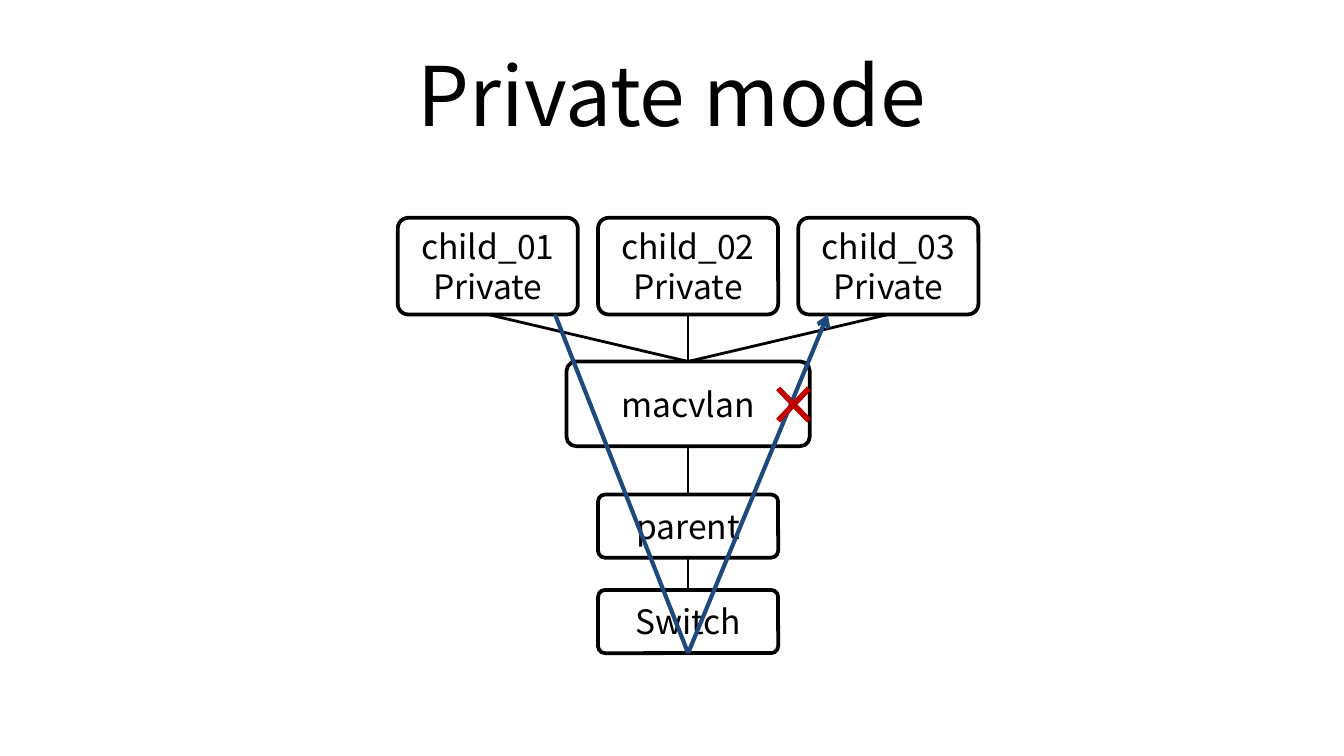
from lxml import etree
from pptx import Presentation
from pptx.dml.color import RGBColor
from pptx.enum.shapes import MSO_CONNECTOR, MSO_SHAPE
from pptx.enum.text import MSO_ANCHOR, PP_ALIGN
from pptx.oxml.ns import qn
from pptx.util import Inches, Pt

STRAIGHT = MSO_CONNECTOR.STRAIGHT
ROUNDED = MSO_SHAPE.ROUNDED_RECTANGLE
MIDDLE = MSO_ANCHOR.MIDDLE
CENTER = PP_ALIGN.CENTER

FONT = "Noto Sans CJK KR"
COLORS = {"ink": "000000", "paper": "FFFFFF", "path": "1F497D", "block": "C00000"}

TITLE = "Private mode"
CHILDREN = ["child_01\nPrivate", "child_02\nPrivate", "child_03\nPrivate"]
STACK = [
    ("macvlan", 2.69, 1.81, 0.63),
    ("parent", 3.68, 1.34, 0.47),
    ("Switch", 4.39, 1.34, 0.47),
]
SLIDE_W = 10
SLIDE_H = SLIDE_W * 9 / 16
AXIS = 5.12
CHILD_TOP, CHILD_W, CHILD_H, CHILD_STEP = 1.62, 1.34, 0.72, 1.49
PATH_START, PATH_END = 4.13, 6.16
CROSS_LEFT, CROSS_TOP, CROSS_RIGHT, CROSS_BOTTOM = 5.79, 2.89, 6.02, 3.13


def rgb(name):
    return RGBColor.from_string(COLORS[name])


def write(s, text, size=18, color="ink"):
    tf = s.text_frame
    tf.word_wrap = True
    tf.vertical_anchor = MIDDLE
    for i, line in enumerate(text.split("\n")):
        p = tf.add_paragraph() if i else tf.paragraphs[0]
        p.alignment = CENTER
        r = p.add_run()
        r.text = line
        r.font.name = FONT
        r.font.size = Pt(size)
        r.font.color.rgb = rgb(color)


def add_box(text, center, top, width, height):
    s = slide.shapes.add_shape(
        ROUNDED, Inches(center - width / 2), Inches(top), Inches(width), Inches(height)
    )
    s.adjustments[0] = 0.11
    s.shadow.inherit = False
    s.fill.solid()
    s.fill.fore_color.rgb = rgb("paper")
    s.line.color.rgb = rgb("ink")
    s.line.width = Pt(2)
    write(s, text)


def add_line(start, end, color="ink", width=1.5, arrow=False):
    s = slide.shapes.add_connector(STRAIGHT, *map(Inches, start + end))
    s.line.color.rgb = rgb(color)
    s.line.width = Pt(width)
    spPr = s._element.spPr
    if arrow:
        etree.SubElement(spPr.find(qn("a:ln")), qn("a:tailEnd"), type="arrow")
    etree.SubElement(spPr, qn("a:effectLst"))


prs = Presentation()
prs.slide_width, prs.slide_height = Inches(SLIDE_W), Inches(SLIDE_H)
slide = prs.slides.add_slide(prs.slide_layouts[6])

title = slide.shapes.add_textbox(Inches(0.5), Inches(0.23), Inches(9), Inches(0.94))
write(title, TITLE, size=44)

for text, top, width, height in STACK:
    add_box(text, AXIS, top, width, height)

child_bottom = CHILD_TOP + CHILD_H
for i, text in enumerate(CHILDREN):
    center = AXIS + (i - 1) * CHILD_STEP
    add_box(text, center, CHILD_TOP, CHILD_W, CHILD_H)
    add_line((center, child_bottom), (AXIS, STACK[0][1]))

for (_, top, _, height), lower in zip(STACK, STACK[1:]):
    add_line((AXIS, top + height), (AXIS, lower[1]))

turn = (AXIS, STACK[-1][1] + STACK[-1][3])
add_line((PATH_START, child_bottom), turn, color="path", width=2.25)
add_line(turn, (PATH_END, child_bottom), color="path", width=2.25, arrow=True)

add_line((CROSS_RIGHT, CROSS_TOP), (CROSS_LEFT, CROSS_BOTTOM), color="block", width=3)
add_line((CROSS_LEFT, CROSS_TOP), (CROSS_RIGHT, CROSS_BOTTOM), color="block", width=3)

prs.save("out.pptx")
